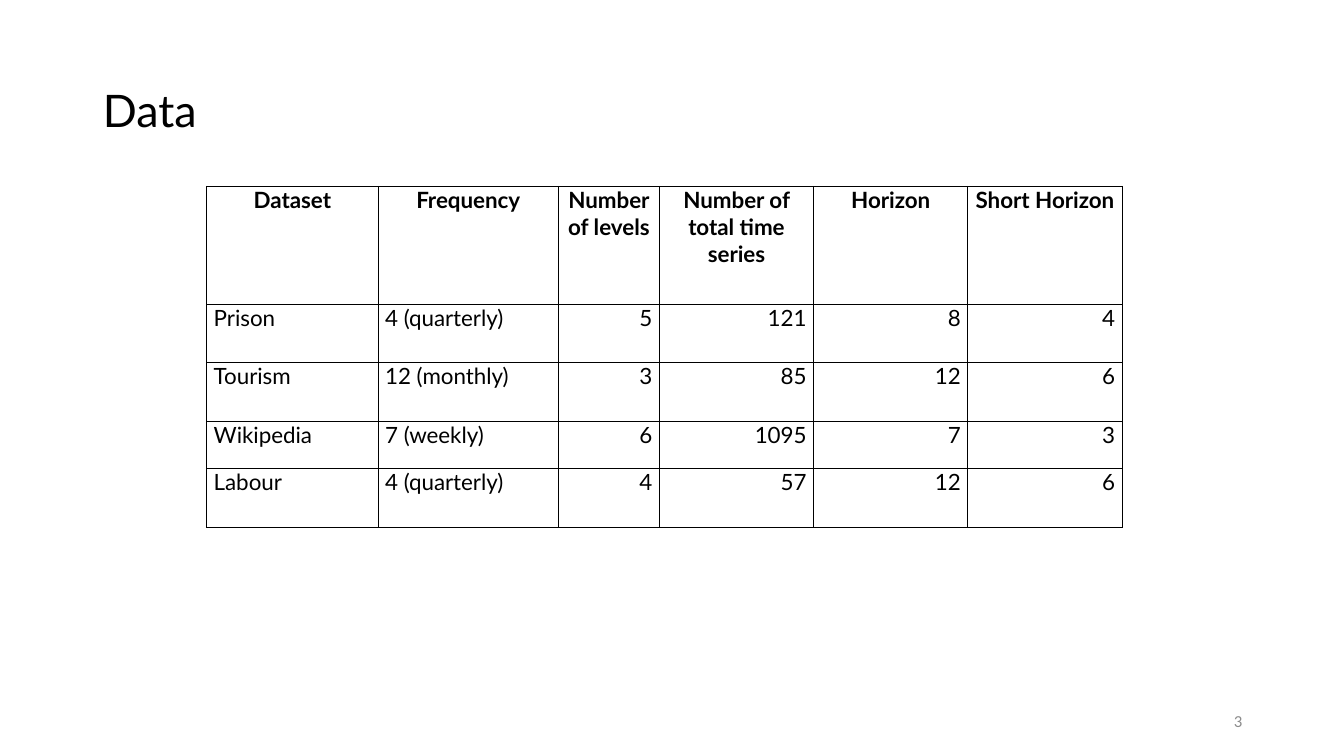
import pptx
import pptx.util
import pptx.dml.color
import pptx.enum.text
import pptx.oxml
import pptx.oxml.ns

Inches, Pt = pptx.util.Inches, pptx.util.Pt
ALIGN = pptx.enum.text.PP_ALIGN
MIDDLE = pptx.enum.text.MSO_ANCHOR.MIDDLE
BLACK = pptx.dml.color.RGBColor(0, 0, 0)
GREY = pptx.dml.color.RGBColor(0x8C, 0x8C, 0x8C)

HEADS = ["Dataset", "Frequency", "Number\nof levels",
         "Number of total time series", "Horizon", "Short Horizon"]
DATA = [
    ["Prison", "4 (quarterly)", 5, 121, 8, 4],
    ["Tourism", "12 (monthly)", 3, 85, 12, 6],
    ["Wikipedia", "7 (weekly)", 6, 1095, 7, 3],
    ["Labour", "4 (quarterly)", 4, 57, 12, 6],
]
WIDTHS = [1.7, 1.79, 1, 1.53, 1.53, 1.53]
HEIGHTS = [1.17, 0.58, 0.58, 0.47, 0.58]


def style(par, name, size, color, align, bold=False):
    par.alignment = align
    font = par.font
    font.name, font.size, font.bold = name, Pt(size), bold
    font.color.rgb = color


def border(cell):
    props = cell._tc.get_or_add_tcPr()
    for i, side in enumerate("LRTB"):
        props.insert(i, pptx.oxml.parse_xml(
            f'<a:ln{side} {pptx.oxml.ns.nsdecls("a")} w="{Pt(1)}">'
            f'<a:solidFill><a:srgbClr val="{BLACK}"/></a:solidFill></a:ln{side}>'))


deck = pptx.Presentation()
deck.slide_width, deck.slide_height = Inches(13.33), Inches(7.5)
slide = deck.slides.add_slide(deck.slide_layouts[5])

# Title
title = slide.shapes.title
title.left, title.top = Inches(0.92), Inches(0.4)
title.width, title.height = Inches(11.5), Inches(1.45)
title.text_frame.text = "Data"
title.text_frame.vertical_anchor = MIDDLE
head = title.text_frame.paragraphs[0]
head.line_spacing = 0.9
style(head, "Lato", 32, BLACK, ALIGN.LEFT)

# Table of data sets
table = slide.shapes.add_table(
    len(HEIGHTS), len(WIDTHS), Inches(2.05), Inches(1.85),
    Inches(sum(WIDTHS)), Inches(sum(HEIGHTS))).table
table.first_row = table.horz_banding = False
for col, width in zip(table.columns, WIDTHS):
    col.width = Inches(width)
for row, height in zip(table.rows, HEIGHTS):
    row.height = Inches(height)

for r, line in enumerate([HEADS] + DATA):
    for c, value in enumerate(line):
        cell = table.cell(r, c)
        cell.text = str(value)
        cell.margin_left = cell.margin_right = Inches(0.07)
        cell.margin_top = cell.margin_bottom = 0
        cell.fill.background()
        border(cell)
        if r == 0:
            align = ALIGN.CENTER
        else:
            align = ALIGN.LEFT if c < 2 else ALIGN.RIGHT
        for par in cell.text_frame.paragraphs:
            style(par, "Lato", 16, BLACK, align, bold=r == 0)

# Page number
page = slide.shapes.add_textbox(
    Inches(9.42), Inches(6.95), Inches(3), Inches(0.4)).text_frame
page.word_wrap = True
page.vertical_anchor = MIDDLE
page.text = "3"
style(page.paragraphs[0], "Calibri", 12, GREY, ALIGN.RIGHT)

deck.save("out.pptx")
